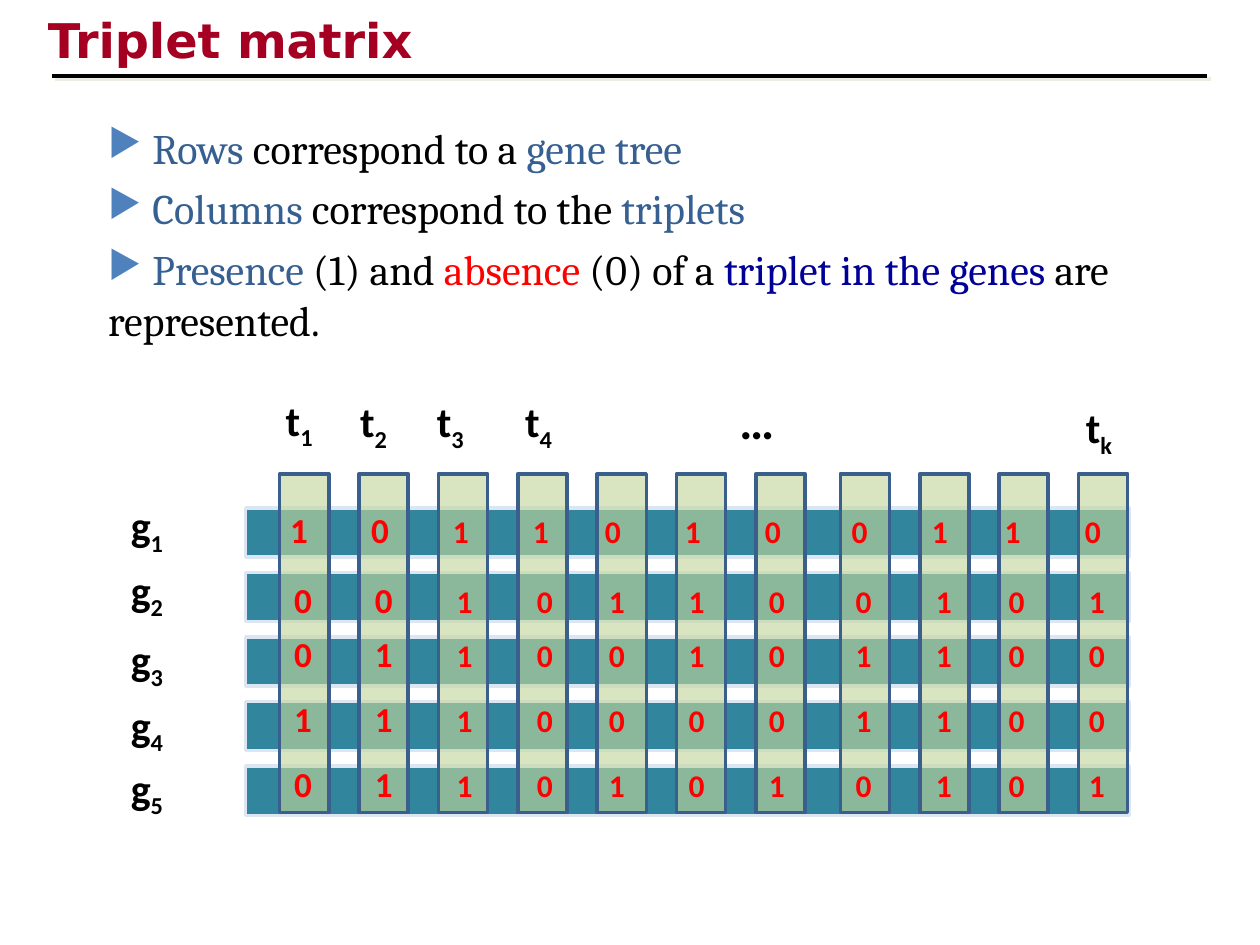
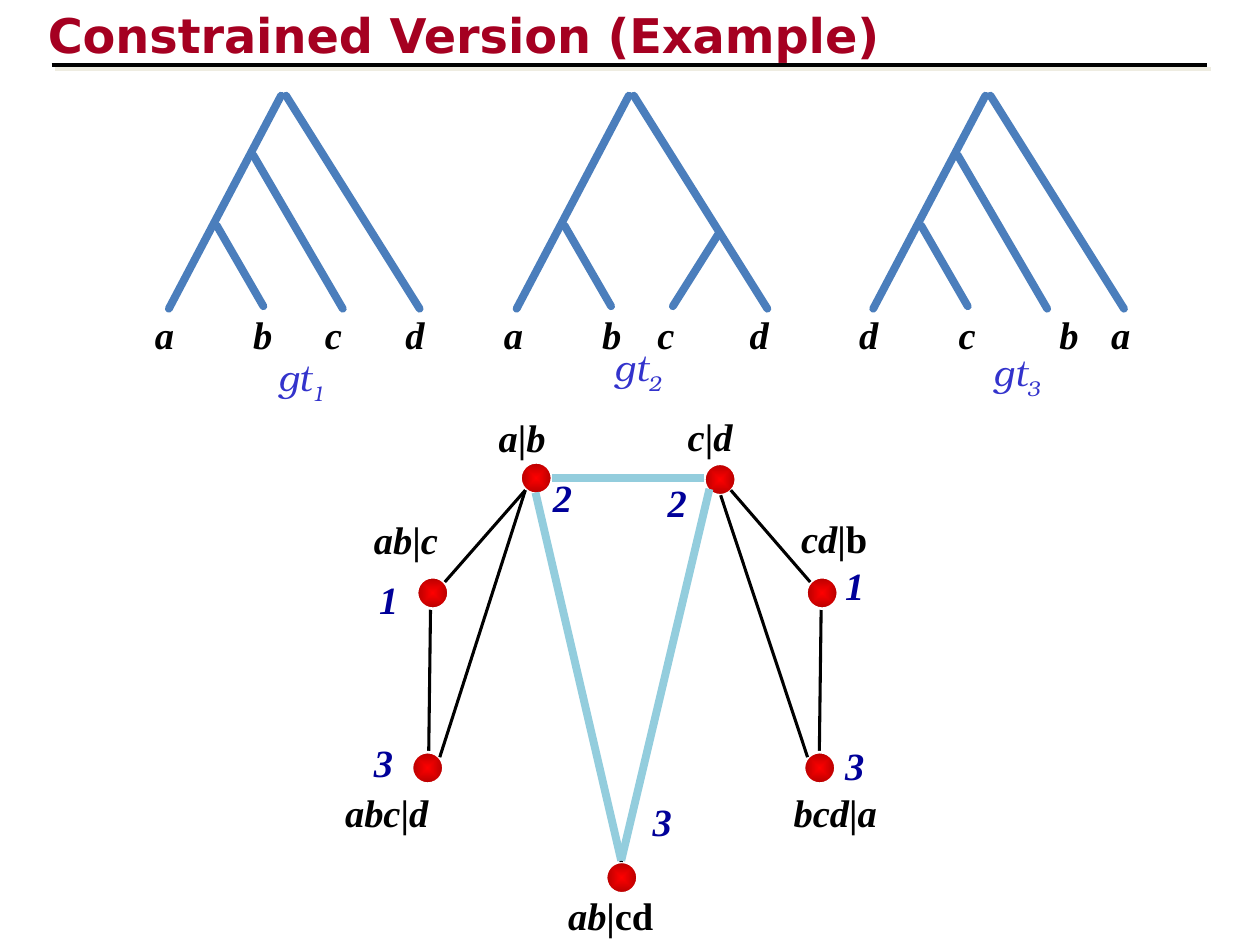
"""Build two slides: a triplet matrix and a constrained gene tree example."""
from lxml import etree
from pptx import Presentation
from pptx import util as u
from pptx.dml import color
from pptx.enum import shapes, text
from pptx.oxml import ns

Pt = u.Pt
COLOURS = {
    "black": "000000", "white": "FFFFFF", "title": "A50021", "shadow": "EEECE1",
    "bar": "31859C", "bar_edge": "DCE6F2", "column": "C3D69B", "column_edge": "3A5F8C",
    "bullet": "4F81BD", "term": "376092", "red": "FF0000", "navy": "000099",
    "tree": "4B7EBC", "tree_name": "3333CC", "dark_red": "B60000", "highlight": "93CDDD",
}

POINTS = [
    [("Rows", "term"), (" correspond to a ", "black"), ("gene tree", "term")],
    [("Columns", "term"), (" correspond to the ", "black"), ("triplets", "term")],
    [("Presence", "term"), (" (1) and ", "black"), ("absence", "red"), (" (0) of a ", "black"),
     ("triplet in the genes ", "navy"), ("are represented.", "black")],
]
MATRIX = ["10110100110", "00101100101", "01100101100", "11100001100", "01101010101"]
GENE_TOPS = [282.2, 319, 358.6, 396, 432]
DIGIT_TOPS = [287.3, 326.9, 357.8, 395.3, 432]
DIGIT_STOPS = [9, 55.2, 101.4, 147.2, 188.4, 234, 279.8, 329.4, 375.2, 416.8, 462.6]
TRIPLETS = [("1", 156.2, 221.8), ("2", 198.7, 222.5), ("3", 242.6, 222.5),
            ("4", 293, 222.5), ("k", 613.4, 226.1)]

LEFT_SIDE = (0, 176.4, 64.1, 54.7)
RIGHT_SIDE = (67, 54.7, 143.3, 176.4)
LEFT_TWIG = (27.4, 128.9, 54, 175)
LONG_TWIG = (48.2, 88.6, 99.4, 176.4)
RIGHT_TWIG = (115.2, 133.9, 89.3, 175)
TREES = [
    {"left": 96.5, "twig": LONG_TWIG, "name": ("1", 151.9, 199.4),
     "leaves": [("a", 81.4), ("b", 137.5), ("c", 178.6), ("d", 224.6)]},
    {"left": 295.2, "twig": RIGHT_TWIG, "name": ("2", 344.2, 193.7),
     "leaves": [("a", 280.8), ("b", 337), ("c", 368.6), ("d", 421.2)]},
    {"left": 499, "twig": LONG_TWIG, "name": ("3", 560.9, 196.6),
     "leaves": [("d", 483.8), ("c", 540.7), ("b", 598.3), ("a", 627.8)]},
]

NODES = [
    (("ab", "|", "c"), (206.6, 291.6), (238.3, 329.8), "1", (209.5, 325.4)),
    (("abc", "|", "d"), (190.1, 447.1), (235.4, 429.8), "3", (206.6, 419)),
    (("cd", "|b"), (450.7, 290.9), (460.8, 329.8), "1", (475.9, 317.5)),
    (("bcd", "|", "a"), (446.4, 447.1), (459.4, 429.8), "3", (475.9, 420.5)),
    (("ab", "|cd"), (317.5, 506.2), (346.3, 492.5), "3", (365.8, 452.2)),
    (("a", "|", "b"), (277.9, 233.3), (297.4, 264.2), "2", (308.9, 267.1)),
    (("c", "|", "d"), (385.9, 232.6), (402.5, 265), "2", (374.4, 270)),
]
UPRIGHT_EDGES = [(246.2, 334.1, 244.8, 444.2), (469.4, 334.8, 468, 445)]
SLANTED_EDGES = [(300.2, 280.1, 254.2, 332.6), (463, 332.6, 417.6, 280.1),
                 (300.2, 280.1, 251.3, 432.7), (411.8, 283, 461.5, 432.7)]
CLIQUE_EDGES = [(402.5, 273.6, 315.4, 273.6), (306, 282.2, 355, 492.5),
                (405.4, 280.1, 355, 492.5)]


def rgb(name):
    return color.RGBColor.from_string(COLOURS[name])


def add_xml(parent, tag, **attributes):
    return etree.SubElement(parent, ns.qn(tag), attributes)


def make_shadow(parent):
    effects = add_xml(parent, "a:effectLst")
    shadow = add_xml(effects, "a:outerShdw", dist=str(Pt(2.8)), dir="2700000", algn="ctr")
    add_xml(shadow, "a:srgbClr", val=COLOURS["shadow"])
    return effects


def add_span(para, words, size, font, colour, bold=True, italic=False, sub=False):
    span = para.add_run()
    span.text = words
    span.font.size = Pt(size)
    span.font.name = font
    span.font.bold = bold
    span.font.italic = italic
    span.font.color.rgb = rgb(colour)
    if sub:
        span._r.get_or_add_rPr().set("baseline", "-25000")
    return span


def add_box(page, left, top, width, height):
    frame = page.shapes.add_textbox(Pt(left), Pt(top), Pt(width), Pt(height)).text_frame
    frame.word_wrap = True
    frame.vertical_anchor = text.MSO_ANCHOR.TOP
    return frame


def add_indexed(page, base, index, left, top, **style):
    para = add_box(page, left, top, 44, 36).paragraphs[0]
    add_span(para, base, **style)
    add_span(para, index, sub=True, **style)


def add_shape(page, kind, left, top, width, height, edge, weight):
    shape = page.shapes.add_shape(kind, Pt(left), Pt(top), Pt(width), Pt(height))
    shape.shadow.inherit = False
    shape.line.color.rgb = rgb(edge)
    shape.line.width = Pt(weight)
    return shape


def add_bar(page, place, fill, edge):
    bar = add_shape(page, shapes.MSO_SHAPE.RECTANGLE, *place, edge, 2)
    bar.fill.solid()
    bar.fill.fore_color.rgb = rgb(fill)
    return bar


def add_line(page, ends, colour, weight, shadow=False):
    line = page.shapes.add_connector(shapes.MSO_CONNECTOR.STRAIGHT, *map(Pt, ends))
    line.line.color.rgb = rgb(colour)
    line.line.width = Pt(weight)
    properties = line._element.spPr
    if shadow:
        make_shadow(properties)
    else:
        add_xml(properties, "a:effectLst")
    return line


def add_page(deck, title, title_top, rule_top):
    page = deck.slides.add_slide(deck.slide_layouts[6])
    add_line(page, (29.5, rule_top, 689.8, rule_top), "black", 2.25, shadow=True)
    frame = add_box(page, 20.2, title_top, 649, 48)
    frame.margin_top = Pt(5.6)
    span = add_span(frame.paragraphs[0], title, 27.3, "DejaVu Sans", "title")
    properties = span._r.get_or_add_rPr()
    properties.find(ns.qn("a:solidFill")).addnext(make_shadow(properties))
    return page


def add_points(page):
    frame = add_box(page, 54.7, 66.2, 609, 135.4)
    for number, spans in enumerate(POINTS):
        para = frame.add_paragraph() if number else frame.paragraphs[0]
        properties = para._p.get_or_add_pPr()
        properties.set("marL", "0")
        properties.set("indent", "0")
        bullet_colour = add_xml(properties, "a:buClr")
        add_xml(bullet_colour, "a:srgbClr", val=COLOURS["bullet"])
        add_xml(properties, "a:buSzPct", val="90000")
        add_xml(properties, "a:buChar", char="▶")
        para.space_before = Pt(6 if number else 0)
        add_span(para, " ", 24, "Cambria", "black", bold=False)
        for words, colour in spans:
            add_span(para, words, 24, "Cambria", colour, bold=False)


def add_digits(page, row, digits):
    left = 157 if row else 154.8
    para = add_box(page, left, DIGIT_TOPS[row], 490.3, 31.7).paragraphs[0]
    stops = add_xml(para._p.get_or_add_pPr(), "a:tabLst")
    for stop in DIGIT_STOPS:
        add_xml(stops, "a:tab", pos=str(Pt(stop)), algn="ctr")
    for column, digit in enumerate(digits):
        add_span(para, "\t" + digit, 20 if column < 2 else 18, "Calibri", "red")


def build_matrix(deck):
    page = add_page(deck, "Triplet matrix", 0.7, 43.2)
    style = {"size": 24, "font": "Calibri", "colour": "black"}
    for row in range(len(MATRIX)):
        add_bar(page, (140.4, 290.2 + 36.9 * row, 504.7, 28.1), "bar", "bar_edge")
    for column in range(len(MATRIX[0])):
        left = 159.8 + 45.36 * column + (2.9 if column > 6 else 0)
        bar = add_bar(page, (left, 270.7, 28.1, 193.7), "column", "column_edge")
        fill = bar._element.spPr.find(ns.qn("a:solidFill"))
        add_xml(fill[0], "a:alpha", val="62000")
    for row, digits in enumerate(MATRIX):
        add_indexed(page, "g", str(row + 1), 67.7, GENE_TOPS[row], **style)
        add_digits(page, row, digits)
    for index, left, top in TRIPLETS:
        add_indexed(page, "t", index, left, top, **style)
    dots = add_box(page, 415.4, 219.6, 67.7, 41)
    add_span(dots.paragraphs[0], "…", 28, "Calibri", "black")
    add_points(page)


def add_tree(page, tree):
    for x1, y1, x2, y2 in (LEFT_SIDE, RIGHT_SIDE, LEFT_TWIG, tree["twig"]):
        branch = add_line(page, (tree["left"] + x1, y1, tree["left"] + x2, y2), "tree", 4.5)
        branch.line._get_or_add_ln().set("cap", "rnd")
    for leaf, left in tree["leaves"]:
        add_label(page, [leaf], (left, 174))
    index, left, top = tree["name"]
    add_indexed(page, "gt", index, left, top, size=21, font="TeX Gyre Bonum",
                colour="tree_name", bold=False, italic=True)


def add_label(page, parts, place, colour="black"):
    width = 30.2 if len(parts) == 1 else 85
    para = add_box(page, *place, width, 33.8).paragraphs[0]
    for number, part in enumerate(parts):
        add_span(para, part, 22, "Times New Roman", colour, italic=number % 2 == 0)


def add_node(page, place):
    node = add_shape(page, shapes.MSO_SHAPE.OVAL, *place, 18, 18, "white", 1.5)
    node.fill.gradient()
    for stop, colour in zip(node.fill.gradient_stops, ("red", "dark_red")):
        stop.color.rgb = rgb(colour)
    gradient = node._element.spPr.find(ns.qn("a:gradFill"))
    gradient.remove(gradient.find(ns.qn("a:lin")))
    path = add_xml(gradient, "a:path")
    path.set("path", "shape")
    add_xml(path, "a:fillToRect", l="50000", t="50000", r="50000", b="50000")


def build_example(deck):
    page = add_page(deck, "Constrained Version (Example)", -2.2, 37.4)
    for tree in TREES:
        add_tree(page, tree)
    for ends in UPRIGHT_EDGES:
        add_line(page, ends, "black", 1.75)
    for parts, label_place, node_place, weight, weight_place in NODES:
        add_node(page, node_place)
        add_label(page, parts, label_place)
        add_label(page, [weight], weight_place, "navy")
    for ends in SLANTED_EDGES + CLIQUE_EDGES:
        add_line(page, ends, "black", 1.75)
    for x1, y1, x2, y2 in CLIQUE_EDGES:
        add_line(page, (x1, y1 - 0.7, x2, y2 - 0.7), "highlight", 4.5)


def main():
    deck = Presentation()
    deck.slide_width, deck.slide_height = Pt(720), Pt(540)
    build_matrix(deck)
    build_example(deck)
    deck.save("out.pptx")


if __name__ == "__main__":
    main()
